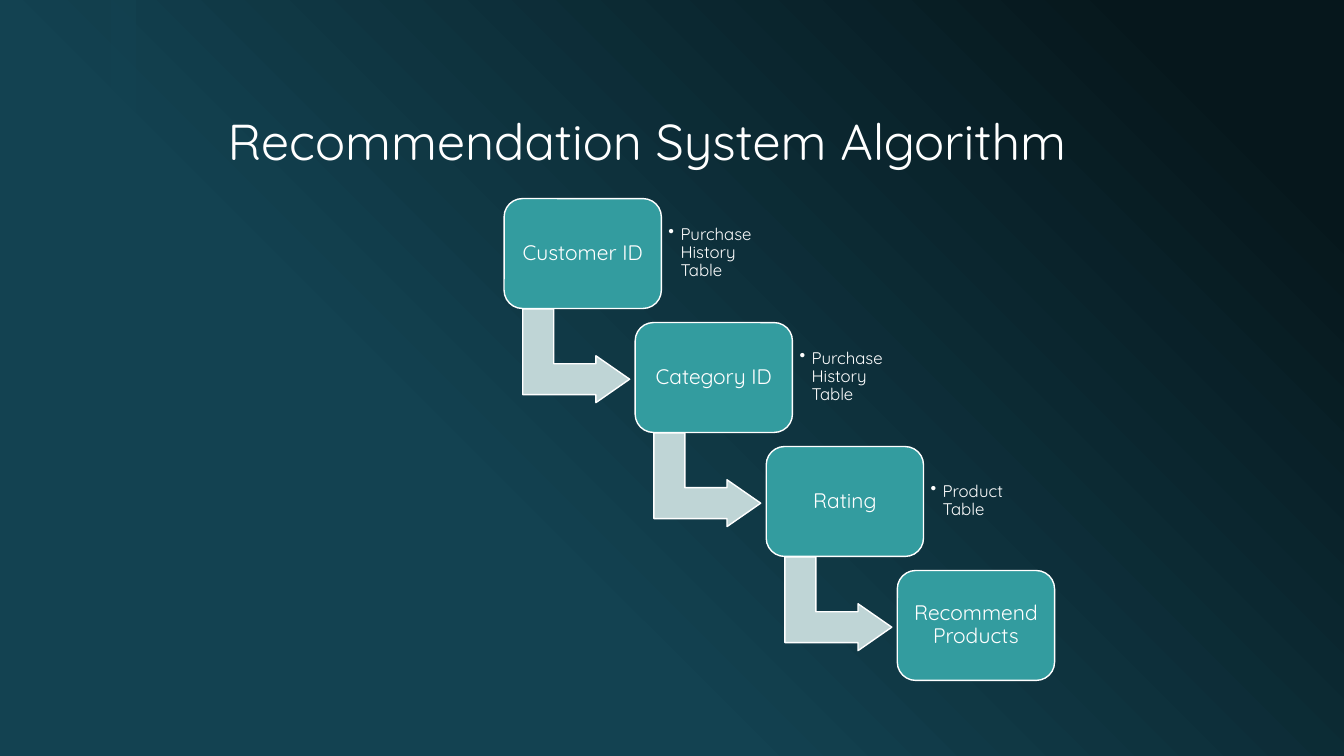
"""Build the recommendation system algorithm slide as a descending staircase of steps."""
from lxml import etree
from pptx import Presentation
from pptx import util as u
from pptx.dml.color import RGBColor
from pptx.enum import shapes, text
from pptx.oxml.ns import qn

COLORS = {
    "night": "06171C",
    "deep": "134251",
    "step": "339C9F",
    "arrow": "BFD5D6",
    "white": "FFFFFF",
}
STEPS = [
    ("Customer ID", "Purchase History Table"),
    ("Category ID", "Purchase History Table"),
    ("Rating", "Product Table"),
    ("Recommend Products", None),
]
FIRST_LEFT, FIRST_TOP = 5, 1.97
STEP_RIGHT, STEP_DOWN = 1.3, 1.23


class StaircaseSlide:
    font = "Quicksand"
    inset = 0.06

    def __init__(self, slide):
        self.slide = slide

    def color(self, name):
        return RGBColor.from_string(COLORS[name])

    def background(self):
        fill = self.slide.background.fill
        fill.gradient()
        fill.gradient_angle = 225
        for stop, name, position in zip(fill.gradient_stops, ("night", "deep"), (0.1, 0.65)):
            stop.color.rgb = self.color(name)
            stop.position = position

    def shape(self, kind, left, top, width, height, fill, outlined=True):
        shape = self.slide.shapes.add_shape(kind, *map(u.Inches, (left, top, width, height)))
        shape.shadow.inherit = False
        shape.fill.solid()
        shape.fill.fore_color.rgb = self.color(fill)
        if outlined:
            shape.line.color.rgb = self.color("white")
            shape.line.width = u.Pt(1)
        else:
            shape.line.fill.background()
        return shape

    def strip(self, left, width, opacity):
        shape = self.shape(shapes.MSO_SHAPE.RECTANGLE, left, 0, width, 7.5, "deep", False)
        color = shape.element.spPr.find(qn("a:solidFill"))[0]
        etree.SubElement(color, qn("a:alpha")).set("val", str(opacity * 1000))

    def set_text(self, shape, words, size, anchor, align=text.PP_ALIGN.LEFT, inset=None):
        frame = shape.text_frame
        frame.word_wrap = True
        frame.vertical_anchor = anchor
        if inset is not None:
            frame.margin_left = frame.margin_right = u.Inches(inset)
            frame.margin_top = frame.margin_bottom = u.Inches(inset)
        paragraph = frame.paragraphs[0]
        paragraph.text = words
        paragraph.alignment = align
        paragraph.line_spacing = 0.9
        paragraph.font.name = self.font
        paragraph.font.size = u.Pt(size)
        paragraph.font.color.rgb = self.color("white")
        return paragraph

    def textbox(self, left, top, width, height):
        return self.slide.shapes.add_textbox(*map(u.Inches, (left, top, width, height)))

    def title(self, words):
        self.set_text(self.textbox(2.16, 0.42, 10, 1.33), words, 36, text.MSO_ANCHOR.BOTTOM)

    def arrow(self, left, top):
        shape = self.shape(shapes.MSO_SHAPE.BENT_UP_ARROW, left, top, 0.93, 1.06, "arrow")
        shape.rotation = 90
        for index, value in enumerate((0.33, 0.25, 0.36)):
            shape.adjustments[index] = value

    def step(self, words, left, top):
        shape = self.shape(shapes.MSO_SHAPE.ROUNDED_RECTANGLE, left, top, 1.56, 1.09, "step")
        self.set_text(shape, words, 15, text.MSO_ANCHOR.MIDDLE, text.PP_ALIGN.CENTER, self.inset)

    def note(self, words, left, top):
        box = self.textbox(left, top, 1.14, 0.88)
        paragraph = self.set_text(box, words, 12, text.MSO_ANCHOR.MIDDLE, inset=self.inset)
        properties = paragraph._p.get_or_add_pPr()
        indent = u.Inches(0.12)
        properties.set("marL", str(int(indent)))
        properties.set("indent", str(-int(indent)))
        etree.SubElement(properties, qn("a:buChar")).set("char", "•")
        properties.append(properties.find(qn("a:defRPr")))


def main():
    presentation = Presentation()
    presentation.slide_width = u.Inches(13.33)
    presentation.slide_height = u.Inches(7.5)
    staircase = StaircaseSlide(presentation.slides.add_slide(presentation.slide_layouts[6]))
    staircase.background()
    staircase.strip(1.1, 0.25, 60)
    staircase.title("Recommendation System Algorithm")
    for index, (label, source_table) in enumerate(STEPS):
        left = FIRST_LEFT + index * STEP_RIGHT
        top = FIRST_TOP + index * STEP_DOWN
        if source_table:
            staircase.arrow(left + 0.25, top + 1.03)
        staircase.step(label, left, top)
        if source_table:
            staircase.note(source_table, left + 1.57, top + 0.1)
    presentation.save("out.pptx")


if __name__ == "__main__":
    main()
